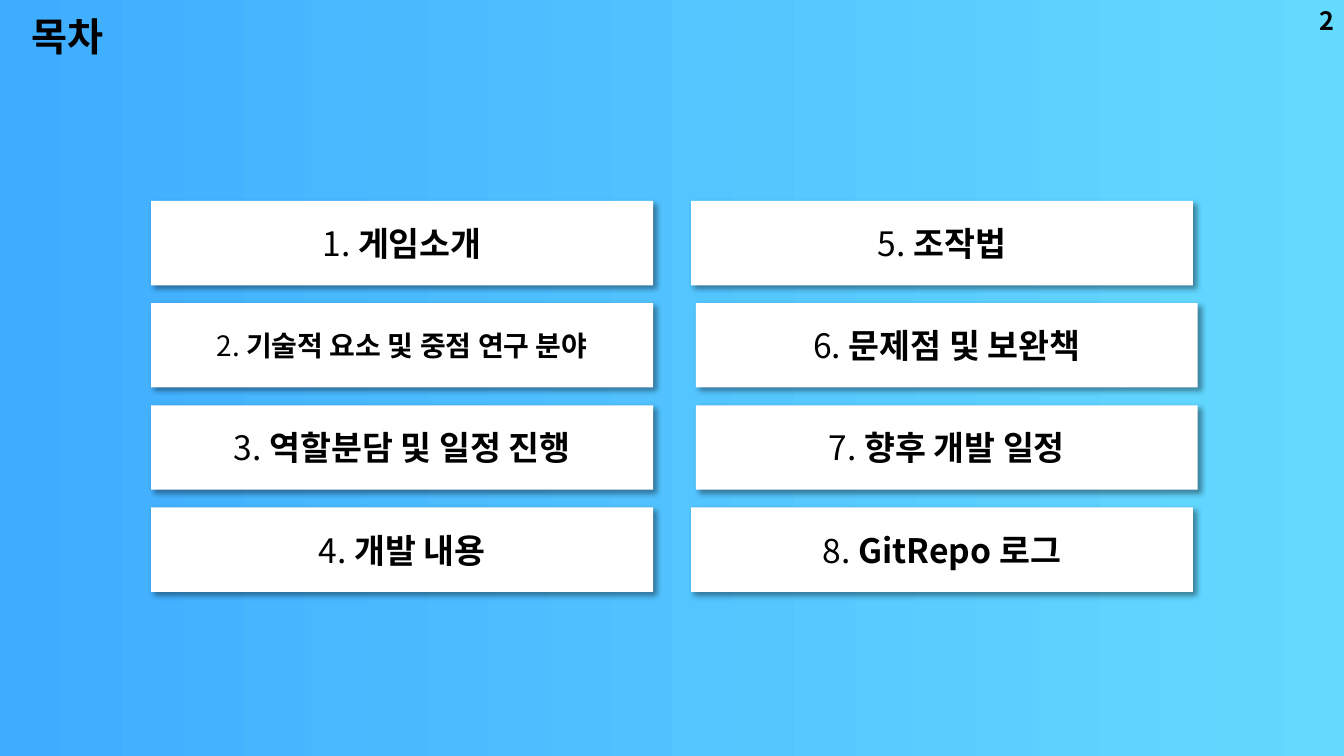
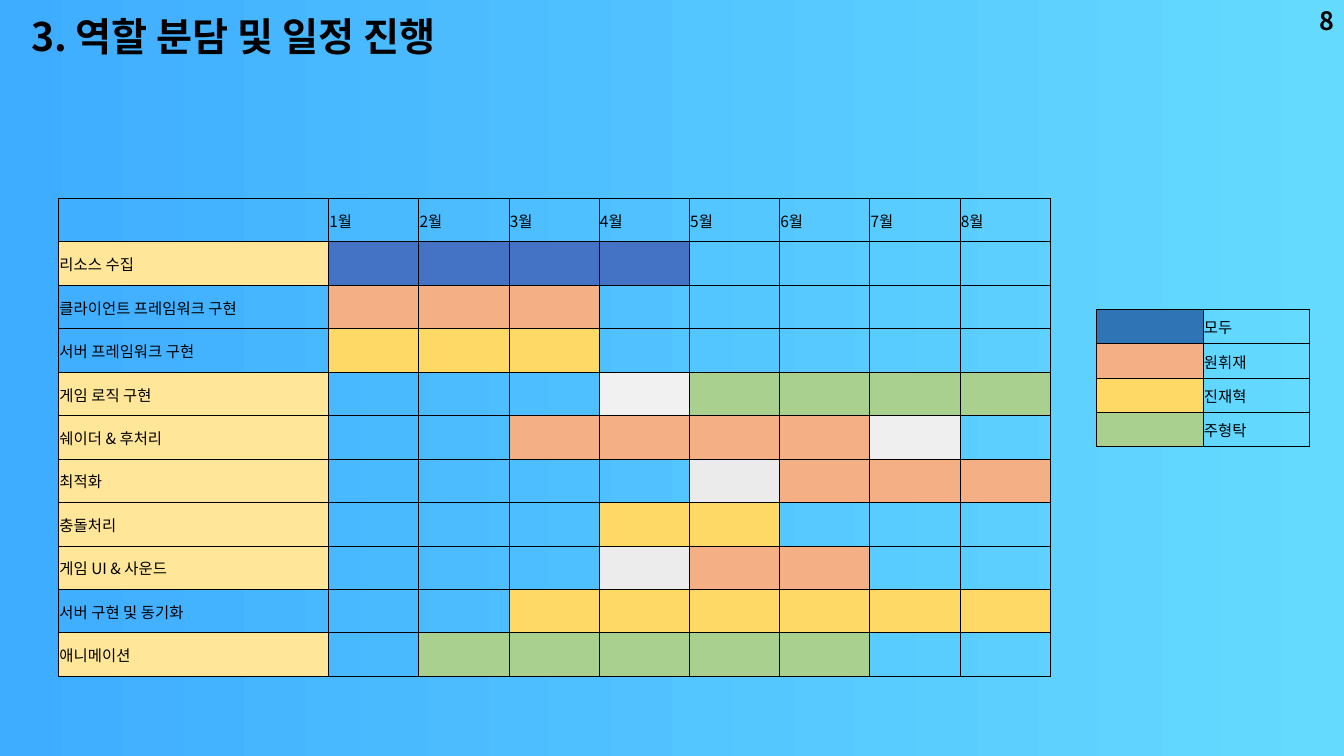
from dataclasses import dataclass

from lxml.etree import SubElement
from pptx import Presentation
from pptx.dml.color import RGBColor
from pptx.enum.shapes import MSO_SHAPE as Shape
from pptx.enum.text import MSO_ANCHOR as Anchor, MSO_AUTO_SIZE as AutoSize, PP_ALIGN as Align
from pptx.oxml import parse_xml
from pptx.oxml.ns import nsdecls, qn
from pptx.util import Pt


@dataclass(frozen=True)
class Theme:
    font: str = "Noto Sans CJK KR"
    ink: str = "000000"
    card: str = "FFFFFF"
    sky_left: str = "3FADFF"
    sky_right: str = "65DAFF"
    task: str = "FFE699"
    everyone: str = "4472C4"
    everyone_key: str = "2F75B5"
    orange: str = "F4B084"
    yellow: str = "FFD966"
    green: str = "A9D08E"
    title_size: float = 28
    card_size: float = 24
    long_card_size: float = 20
    page_size: float = 18
    table_size: float = 11


T = Theme()

# Number, heading, type size
CONTENTS = [
    [("1. ", "게임소개", T.card_size),
     ("2. ", "기술적 요소 및 중점 연구 분야", T.long_card_size),
     ("3. ", "역할분담 및 일정 진행", T.card_size),
     ("4. ", "개발 내용", T.card_size)],
    [("5. ", "조작법", T.card_size),
     ("6. ", "문제점 및 보완책", T.card_size),
     ("7. ", "향후 개발 일정", T.card_size),
     ("8. ", "GitRepo 로그", T.card_size)],
]

MONTHS = [f"{month}월" for month in range(1, 9)]

# Task, label colour, spans of (first month, last month, colour)
SCHEDULE = [
    ("리소스 수집", T.task, [(1, 4, T.everyone)]),
    ("클라이언트 프레임워크 구현", None, [(1, 3, T.orange)]),
    ("서버 프레임워크 구현", None, [(1, 3, T.yellow)]),
    ("게임 로직 구현", T.task, [(4, 4, "F1F1F1"), (5, 8, T.green)]),
    ("쉐이더 & 후처리", T.task, [(3, 6, T.orange), (7, 7, "EFEFEF")]),
    ("최적화", T.task, [(5, 5, "EBEBEB"), (6, 8, T.orange)]),
    ("충돌처리", T.task, [(4, 5, T.yellow)]),
    ("게임 UI & 사운드", T.task, [(4, 4, "ECECEC"), (5, 6, T.orange)]),
    ("서버 구현 및 동기화", None, [(3, 8, T.yellow)]),
    ("애니메이션", T.task, [(2, 6, T.green)]),
]

OWNERS = [("모두", T.everyone_key), ("원휘재", T.orange),
          ("진재혁", T.yellow), ("주형탁", T.green)]


def write(frame, text, size, lead="", bold=False, align=Align.LEFT, anchor=Anchor.MIDDLE):
    """Fill a text frame; lead is a part in regular weight before the text."""
    frame.word_wrap = True
    frame.vertical_anchor = anchor
    paragraph = frame.paragraphs[0]
    paragraph.alignment = align
    for part, weight in ((lead, False), (text, bold)):
        if not part:
            continue
        run = paragraph.add_run()
        run.text = part
        font = run.font
        font.size, font.bold, font.name = Pt(size), weight, T.font
        font.color.rgb = RGBColor.from_string(T.ink)
        SubElement(run._r.get_or_add_rPr(), qn("a:ea"), typeface=T.font)


def paint(fill, colour):
    if colour:
        fill.solid()
        fill.fore_color.rgb = RGBColor.from_string(colour)
    else:
        fill.background()


def paint_background(master):
    fill = master.background.fill
    fill.gradient()
    fill.gradient_angle = 0
    for stop, colour in zip(fill.gradient_stops, (T.sky_left, T.sky_right)):
        stop.color.rgb = RGBColor.from_string(colour)


def add_slide(prs, title, page):
    slide = prs.slides.add_slide(prs.slide_layouts[5])
    heading = slide.shapes.title
    heading.left, heading.top, heading.width, heading.height = Pt(15), Pt(5), Pt(381), Pt(41)
    heading.text_frame.auto_size = AutoSize.NONE
    write(heading.text_frame, title, T.title_size, bold=True, anchor=Anchor.TOP)
    number = slide.shapes.add_textbox(Pt(744), Pt(0), Pt(216), Pt(29))
    write(number.text_frame, page, T.page_size, bold=True, align=Align.RIGHT)
    return slide


def add_card(slide, left, top, width, height, number, heading, size):
    card = slide.shapes.add_shape(Shape.RECTANGLE, Pt(left), Pt(top), Pt(width), Pt(height))
    paint(card.fill, T.card)
    card.line.fill.background()
    card._element.spPr.append(parse_xml(
        f'<a:effectLst {nsdecls("a")}><a:outerShdw blurRad="{Pt(4)}" dist="{Pt(3)}" '
        f'dir="2700000" algn="tl" rotWithShape="0"><a:srgbClr val="{T.ink}">'
        '<a:alpha val="40000"/></a:srgbClr></a:outerShdw></a:effectLst>'))
    write(card.text_frame, heading, size, lead=number, bold=True, align=Align.CENTER)


def add_borders(cell):
    properties = cell._tc.get_or_add_tcPr()
    for side in ("lnL", "lnR", "lnT", "lnB"):
        properties.append(parse_xml(
            f'<a:{side} {nsdecls("a")} w="{Pt(0.5)}"><a:solidFill>'
            f'<a:srgbClr val="{T.ink}"/></a:solidFill></a:{side}>'))


def add_grid(slide, left, top, widths, row_height, rows):
    """Draw a bordered table from rows of (text, fill colour) cells."""
    table = slide.shapes.add_table(len(rows), len(widths), Pt(left), Pt(top),
                                   Pt(sum(widths)), Pt(row_height * len(rows))).table
    table.first_row = table.horz_banding = False
    for column, width in zip(table.columns, widths):
        column.width = Pt(width)
    for row, values in zip(table.rows, rows):
        row.height = Pt(row_height)
        for cell, (text, colour) in zip(row.cells, values):
            cell.margin_left = cell.margin_right = cell.margin_top = Pt(0.7)
            cell.margin_bottom = Pt(0)
            cell.vertical_anchor = Anchor.MIDDLE
            add_borders(cell)
            paint(cell.fill, colour)
            if text:
                write(cell.text_frame, text, T.table_size)
            else:
                end = cell.text_frame.paragraphs[0]._p.get_or_add_endParaRPr()
                end.set("sz", str(T.table_size * 100))


def build_contents(prs):
    slide = add_slide(prs, "목차", "2")
    top, pitch, width, height = 143.5, 73, 358.5, 60.3
    # The two middle cards on the right sit slightly further out
    lefts = [[108] * 4, [493.6, 497, 497, 493.6]]
    for column, column_lefts in zip(CONTENTS, lefts):
        for row, (entry, left) in enumerate(zip(column, column_lefts)):
            add_card(slide, left, top + row * pitch, width, height, *entry)


def build_schedule(prs):
    slide = add_slide(prs, "3. 역할 분담 및 일정 진행", "8")
    rows = [[("", None)] + [(month, None) for month in MONTHS]]
    for task, label_colour, spans in SCHEDULE:
        months = [("", None)] * len(MONTHS)
        for first, last, colour in spans:
            months[first - 1:last] = [("", colour)] * (last - first + 1)
        rows.append([(task, label_colour)] + months)
    add_grid(slide, 41.8, 141.6, [192.8] + [64.45] * len(MONTHS), 31.06, rows)
    add_grid(slide, 783.3, 221, [76, 76], 24.5,
             [[("", colour), (owner, None)] for owner, colour in OWNERS])


def main():
    prs = Presentation()
    prs.slide_width, prs.slide_height = Pt(960), Pt(540)
    paint_background(prs.slide_master)
    build_contents(prs)
    build_schedule(prs)
    prs.save("out.pptx")


if __name__ == "__main__":
    main()
